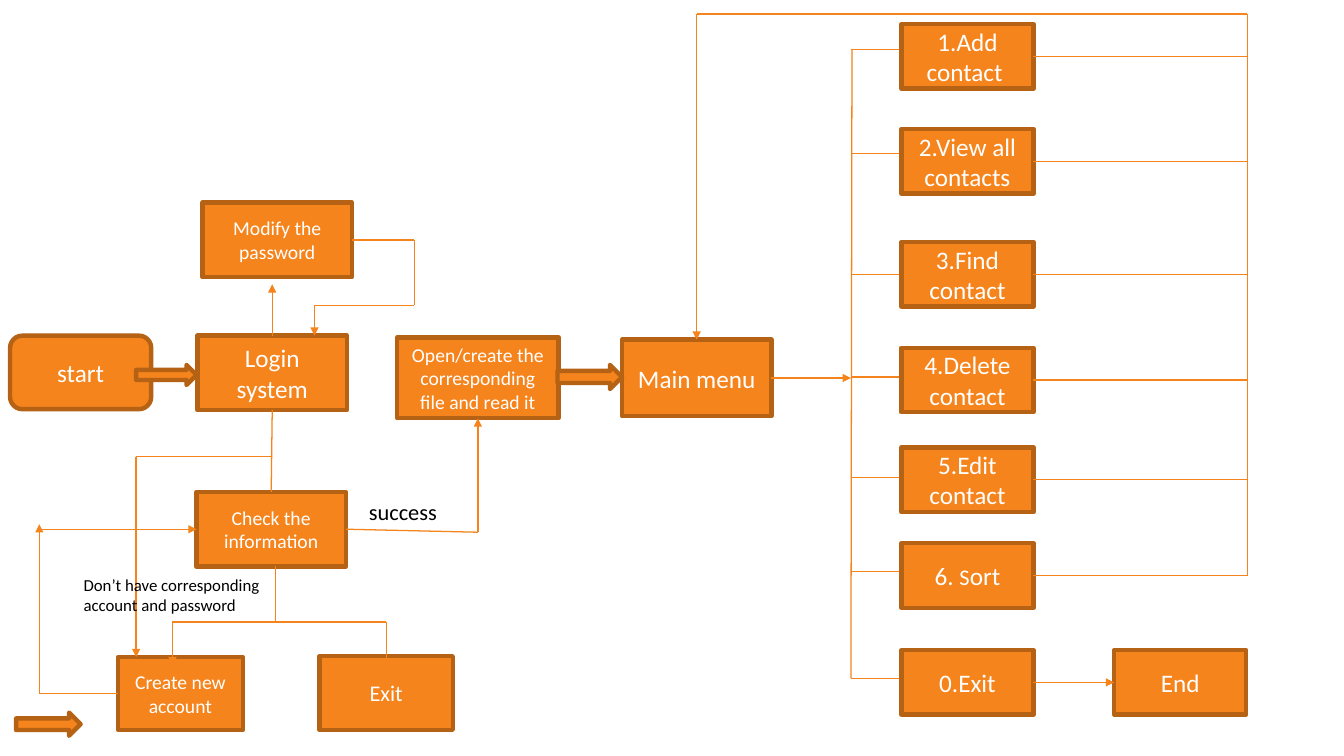
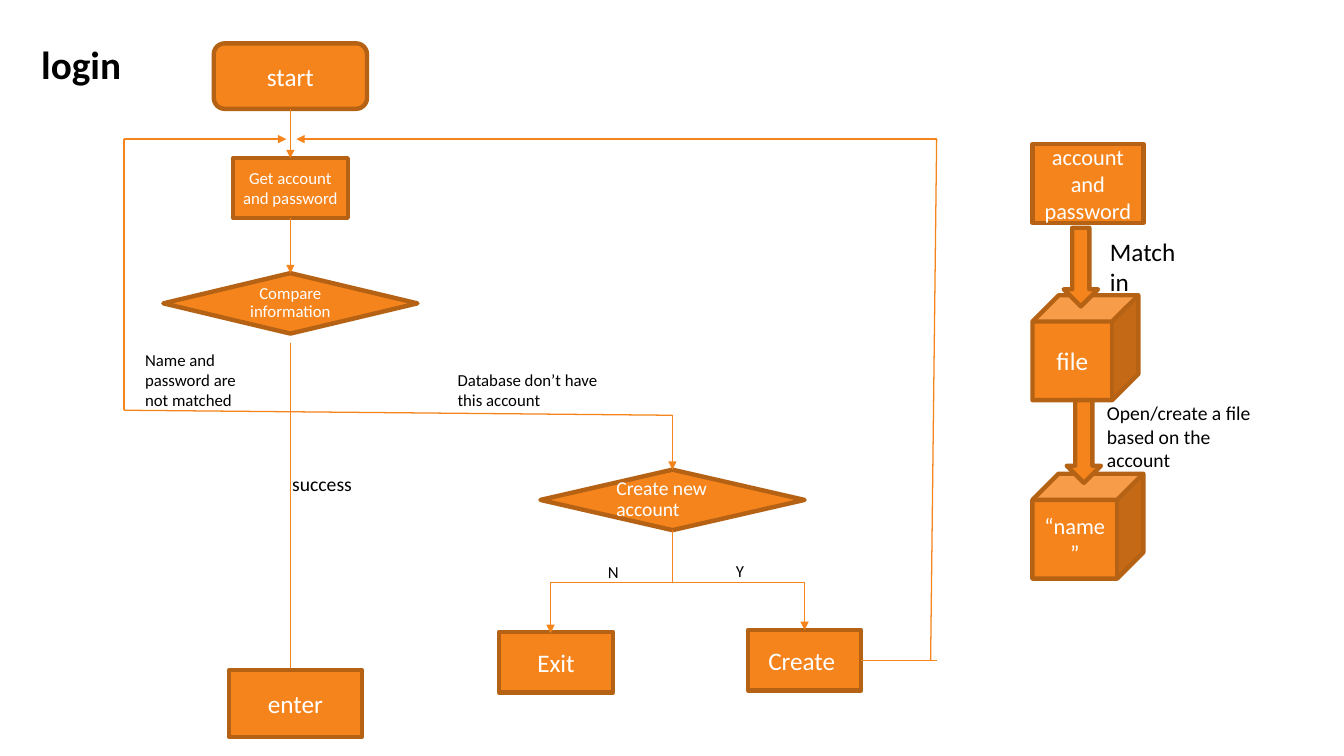
from lxml import etree
from pptx import Presentation
from pptx.dml.color import RGBColor
from pptx.enum.shapes import MSO_CONNECTOR, MSO_SHAPE
from pptx.enum.text import MSO_ANCHOR, MSO_AUTO_SIZE, PP_ALIGN
from pptx.oxml.ns import qn
from pptx.util import Pt

PX = 9144  # 100 px to the inch
WIDTH, HEIGHT = 1333, 750
FONT = "Calibri"
ORANGE = RGBColor(0xF5, 0x84, 0x1C)
BROWN = RGBColor(0xB5, 0x62, 0x15)
WHITE = RGBColor(0xFF, 0xFF, 0xFF)
BLACK = RGBColor(0, 0, 0)

PROCESS = MSO_SHAPE.FLOWCHART_PROCESS
TERMINAL = MSO_SHAPE.FLOWCHART_ALTERNATE_PROCESS
DECISION = MSO_SHAPE.FLOWCHART_DECISION
CUBE = MSO_SHAPE.CUBE
RIGHT_ARROW = MSO_SHAPE.RIGHT_ARROW
DOWN_ARROW = MSO_SHAPE.DOWN_ARROW
STRAIGHT = MSO_CONNECTOR.STRAIGHT
CENTER, LEFT = PP_ALIGN.CENTER, PP_ALIGN.LEFT
MIDDLE = MSO_ANCHOR.MIDDLE
FIT_SHAPE = MSO_AUTO_SIZE.SHAPE_TO_FIT_TEXT
TOP_SIDE, LEFT_SIDE, BOTTOM_SIDE, RIGHT_SIDE = range(4)

# Main menu: top of box, height of its branch, text
MENU_X, MENU_W, MENU_H = 894, 131, 64
FAN_X, RETURN_X, RETURN_Y = 844, 1237, 14
MENU = [
    (24, 49, "1.Add contact "),
    (128, 152, "2.View all contacts"),
    (240, 272, "3.Find contact"),
    (345, 374, "4.Delete contact"),
    (444, 474, "5.Edit contact"),
    (539, 567, [("6. ", 18), ("S", 16), ("ort", 18)]),
    (645, 673, "0.Exit"),
]
EXIT_ITEM = len(MENU) - 1
LAST_RETURN_Y = MENU[EXIT_ITEM - 1][0] + MENU_H // 2

# Boxes: name -> (shape, (left, top, width, height), text, size[, alignment])
# Lines: (start, end, has arrowhead); an end is a point or (box name, side),
# and None in a point takes that coordinate from the other end.
# Labels: (area, text, size, bold)
OVERVIEW = {
    "back_lines": [
        ((FAN_X, MENU[-1][1]), (FAN_X + 1, MENU[0][1]), False),
        *[((FAN_X, y), (FAN_X + 60, y), True) for _, y, _ in MENU],
    ],
    "boxes": {
        "start": (TERMINAL, (10, 333, 140, 73), "start", 18),
        "login": (PROCESS, (196, 333, 148, 74), "Login system", 18),
        "modify": (PROCESS, (201, 201, 148, 74), "Modify the password", 14),
        "check": (PROCESS, (195, 488, 148, 74), "Check the information", 14),
        "create": (PROCESS, (117, 652, 124, 72), "Create new account", 14),
        "exit": (PROCESS, (317, 651, 132, 73), "Exit", 16),
        "open": (PROCESS, (394, 335, 160, 80),
                 "Open/create the corresponding file and read it", 14),
        "main": (PROCESS, (617, 337, 148, 76), "Main menu", 18),
        "end": (PROCESS, (1105, 645, MENU_W, MENU_H), "End", 18),
        **{i: (PROCESS, (MENU_X, top, MENU_W, MENU_H), text, 18)
           for i, (top, _, text) in enumerate(MENU)},
    },
    "block_arrows": [
        (RIGHT_ARROW, (135, 362, 60, 20)),
        (RIGHT_ARROW, (16, 707, 64, 23)),
        (RIGHT_ARROW, (553, 362, 64, 24)),
    ],
    "lines": [
        # Login and password change
        (("login", TOP_SIDE), (None, 282), True),
        (("modify", RIGHT_SIDE), (411, None), False),
        ((411, 238), (411, 303), False),
        ((411, 303), (312, 303), False),
        ((312, 303), (312, 333), True),
        (("login", BOTTOM_SIDE), ("check", TOP_SIDE), False),
        ((270, 453), (135, 453), False),
        ((135, 453), (135, 652), True),
        # Result of the check
        (("check", RIGHT_SIDE), (474, 528), False),
        ((474, 528), ("open", BOTTOM_SIDE), True),
        ((273, 562), (273, 617), False),
        ((171, 617), (383, 617), False),
        ((171, 617), (171, 660), True),
        ((383, 617), (383, 667), True),
        (("create", LEFT_SIDE), (39, None), False),
        ((39, 688), (39, 520), True),
        ((39, None), ("check", LEFT_SIDE), True),
        # Main menu and the way back to it
        (("main", RIGHT_SIDE), (FAN_X, None), True),
        *[((i, RIGHT_SIDE), (RETURN_X, None), False)
          for i in range(EXIT_ITEM)],
        ((RETURN_X, LAST_RETURN_Y), (RETURN_X, RETURN_Y), False),
        ((RETURN_X, RETURN_Y), (691, RETURN_Y), False),
        ((691, RETURN_Y), ("main", TOP_SIDE), True),
        ((EXIT_ITEM, RIGHT_SIDE), ("end", LEFT_SIDE), True),
    ],
    "labels": [
        ((73, 565, 211, 50),
         "Don’t have corresponding account and password", 12, False),
        ((356, 489, 109, 37), "success", 16, False),
    ],
}

LOGIN = {
    "back_lines": [((288, 340), (288, 683), True)],
    "boxes": {
        "start": (TERMINAL, (212, 43, 152, 65), "start", 18),
        "get": (PROCESS, (231, 157, 114, 59), "Get account and password", 12),
        "compare": (DECISION, (162, 271, 252, 60), "Compare information", 12),
        "enter": (PROCESS, (227, 665, 132, 66), "enter", 18),
        "new": (DECISION, (536, 466, 262, 60), "Create new account", 14, LEFT),
        "exit": (PROCESS, (495, 627, 113, 60), "Exit", 18),
        "create": (PROCESS, (742, 625, 112, 60), "Create ", 18),
        "account": (PROCESS, (1024, 143, 110, 78),
                    "account and password", 16),
        "file": (CUBE, (1024, 293, 105, 104), "file", 18),
        "name": (CUBE, (1024, 470, 110, 104), "“name”", 16),
    },
    "block_arrows": [
        (DOWN_ARROW, (1055, 226, 34, 78)),
        (DOWN_ARROW, (1058, 397, 34, 82)),
    ],
    "lines": [
        (("start", BOTTOM_SIDE), ("get", TOP_SIDE), True),
        (("get", BOTTOM_SIDE), ("compare", TOP_SIDE), True),
        # No match: try again or create an account
        ((123, 407), (667, 412), False),
        ((123, 138), (123, 407), False),
        ((123, 138), (284, 138), True),
        ((667, 412), ("new", TOP_SIDE), True),
        (("new", BOTTOM_SIDE), (None, 578), False),
        ((546, 578), (798, 578), False),
        ((546, 578), (546, 628), True),
        ((798, 578), ("create", TOP_SIDE), True),
        # Back to the start
        (("create", RIGHT_SIDE), (929, None), False),
        ((923, 655), (929, 138), False),
        ((929, 138), (294, 138), True),
    ],
    "labels": [
        ((31, 35, 152, 57), "login", 28, True),
        ((444, 362, 164, 50), "Database don’t have this account", 12, False),
        ((280, 463, 80, 34), "success", 14, False),
        ((134, 342, 136, 71), "Name and password are not matched", 12, False),
        ((593, 552, 136, 30), "N", 12, False),
        ((720, 551, 136, 30), "Y", 12, False),
        ((1091, 229, 94, 71), "Match in", 18, False),
        ((1088, 393, 188, 81),
         "Open/create a file based on the account", 14, False),
    ],
}


def emu(values):
    return [round(value * PX) for value in values]


def write(shape, text, size, color, alignment, bold=False):
    """Put text, or a list of (text, size) runs, into a shape."""
    shape.text_frame.word_wrap = True
    paragraph = shape.text_frame.paragraphs[0]
    paragraph.alignment = alignment
    pieces = [(text, size)] if isinstance(text, str) else text
    for piece, piece_size in pieces:
        run = paragraph.add_run()
        run.text = piece
        run.font.name = FONT
        run.font.size = Pt(piece_size)
        run.font.bold = bold
        run.font.color.rgb = color
    return paragraph


def add_block(slide, preset, area):
    shape = slide.shapes.add_shape(preset, *emu(area))
    shape.shadow.inherit = False
    shape.fill.solid()
    shape.fill.fore_color.rgb = ORANGE
    shape.line.color.rgb = BROWN
    shape.line.width = Pt(3.15)
    return shape


def add_box(slide, preset, area, text, size, alignment=CENTER):
    shape = add_block(slide, preset, area)
    shape.text_frame.vertical_anchor = MIDDLE
    paragraph = write(shape, text, size, WHITE, alignment)
    if preset == DECISION:
        paragraph.line_spacing = 0.9
        paragraph.space_before = Pt(10)
    return shape


def locate(end, boxes):
    """Return the point of a line's end, and its box if it has one."""
    name, side = end
    if name not in boxes or side not in range(4):
        return end, None
    left, top, width, height = boxes[name][1]
    middle_x, middle_y = left + width / 2, top + height / 2
    points = [(middle_x, top), (left, middle_y),
              (middle_x, top + height), (left + width, middle_y)]
    return points[side], name


def add_line(slide, line, boxes, shapes):
    start, end, has_head = line
    (x1, y1), start_box = locate(start, boxes)
    (x2, y2), end_box = locate(end, boxes)
    x1, x2 = (x2 if x1 is None else x1), (x1 if x2 is None else x2)
    y1, y2 = (y2 if y1 is None else y1), (y1 if y2 is None else y2)
    connector = slide.shapes.add_connector(STRAIGHT, *emu((x1, y1, x2, y2)))
    if start_box is not None:
        connector.begin_connect(shapes[start_box], start[1])
    if end_box is not None:
        connector.end_connect(shapes[end_box], end[1])
    connector.line.color.rgb = ORANGE
    connector.line.width = Pt(0.9)
    properties = connector._element.spPr
    if has_head:
        outline = properties.find(qn("a:ln"))
        etree.SubElement(outline, qn("a:tailEnd"), type="triangle")
    etree.SubElement(properties, qn("a:effectLst"))


def add_label(slide, area, text, size, bold):
    box = slide.shapes.add_textbox(*emu(area))
    write(box, text, size, BLACK, LEFT, bold)
    box.text_frame.auto_size = FIT_SHAPE


def add_flowchart(presentation, chart):
    slide = presentation.slides.add_slide(presentation.slide_layouts[6])
    boxes = chart["boxes"]
    for line in chart["back_lines"]:
        add_line(slide, line, {}, {})
    shapes = {name: add_box(slide, *box) for name, box in boxes.items()}
    for preset, area in chart["block_arrows"]:
        add_block(slide, preset, area)
    for line in chart["lines"]:
        add_line(slide, line, boxes, shapes)
    for label in chart["labels"]:
        add_label(slide, *label)


def main():
    presentation = Presentation()
    presentation.slide_width, presentation.slide_height = emu((WIDTH, HEIGHT))
    for chart in (OVERVIEW, LOGIN):
        add_flowchart(presentation, chart)
    presentation.save("out.pptx")


if __name__ == "__main__":
    main()
